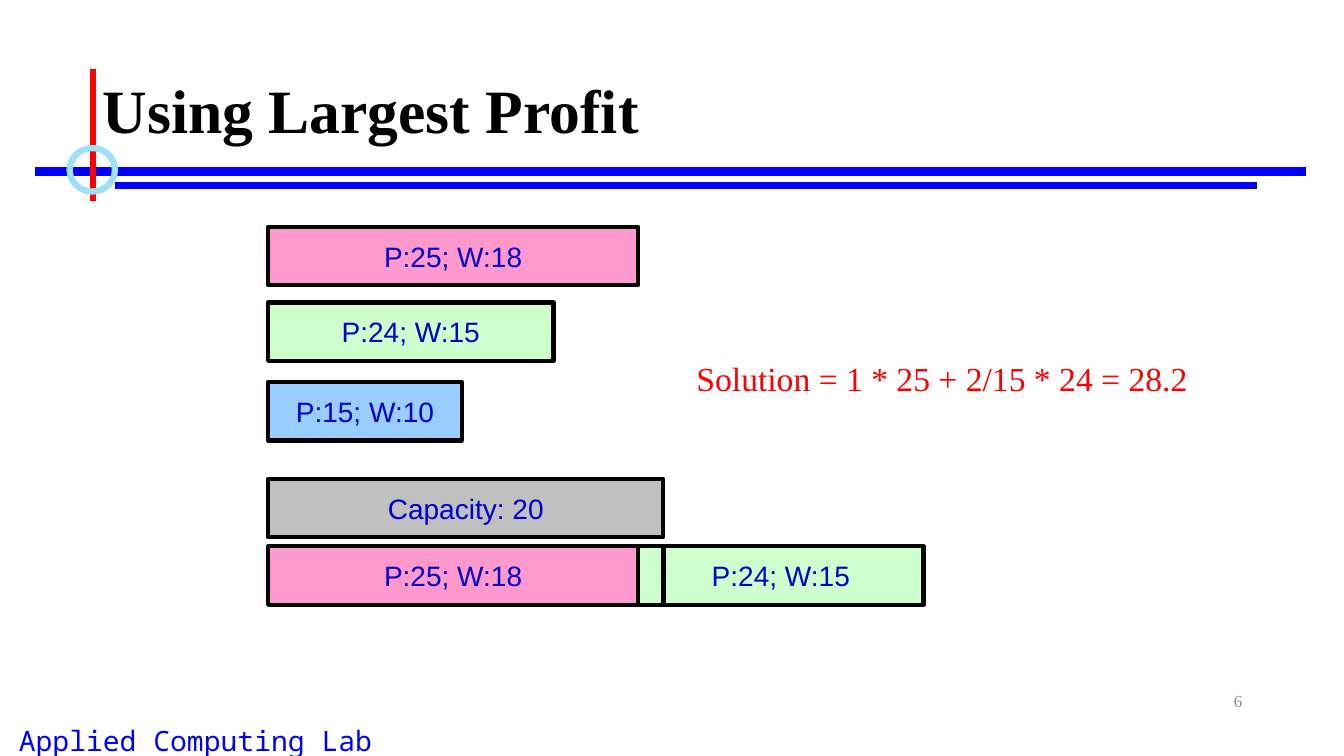
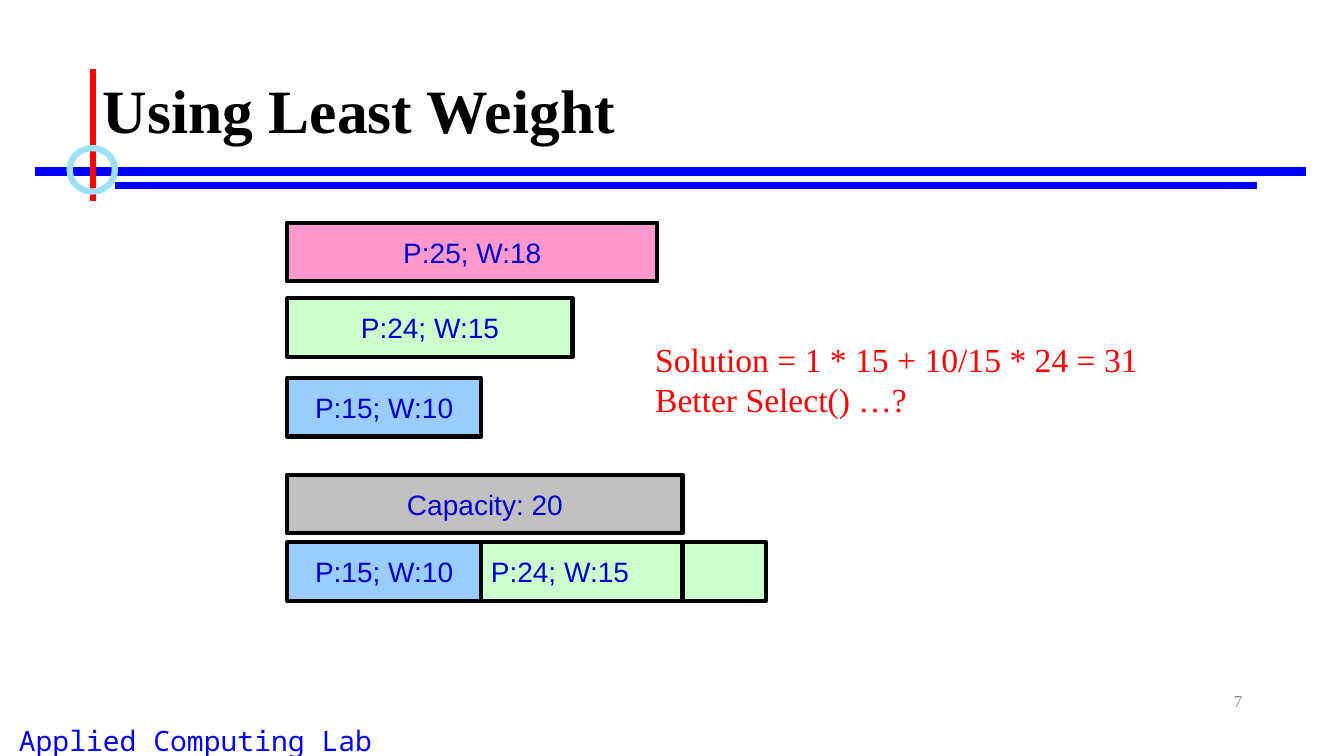
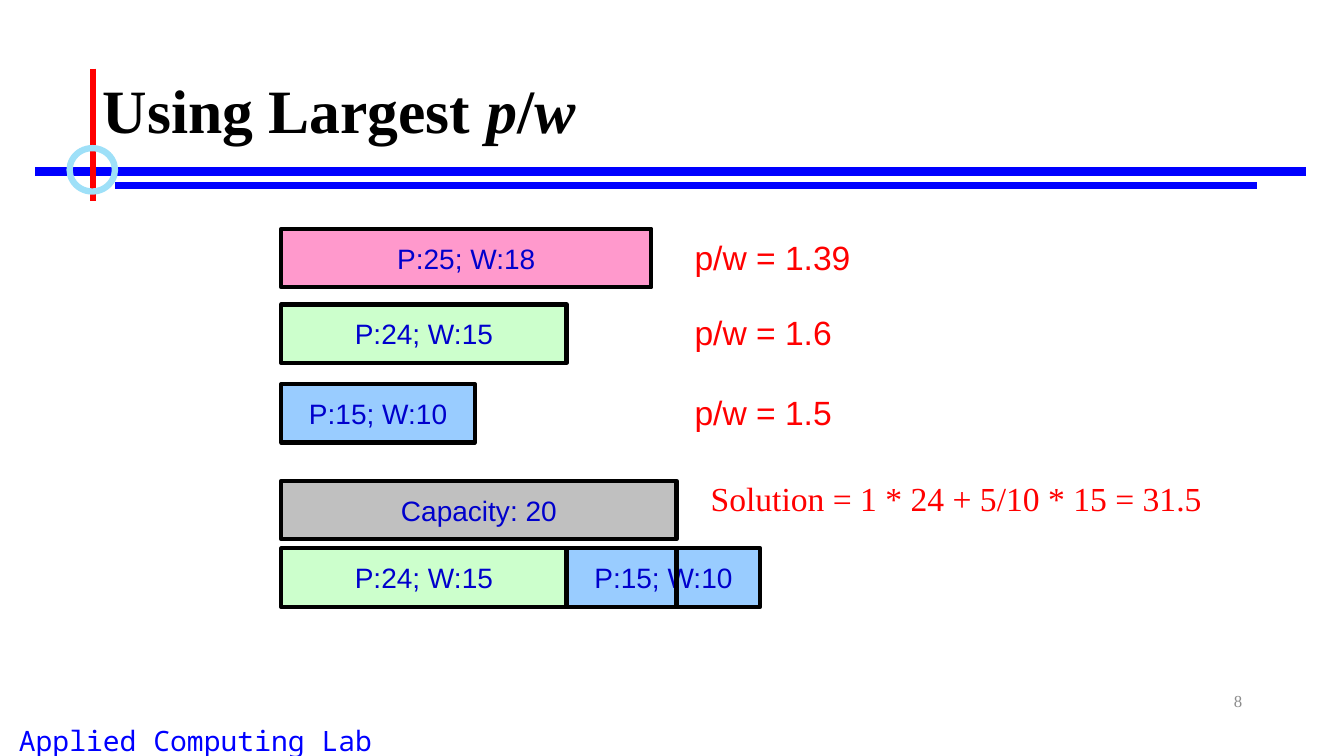
import pptx
import pptx.util
import pptx.dml.color
import pptx.enum.shapes
import pptx.enum.text
import pptx.oxml.ns
import lxml.etree

Inches = pptx.util.Inches
Pt = pptx.util.Pt
Shape = pptx.enum.shapes.MSO_SHAPE
Align = pptx.enum.text.PP_ALIGN
Anchor = pptx.enum.text.MSO_ANCHOR

SERIF, SANS, MONO = "Times New Roman", "Arial", "Noto Sans Mono"
BLUE, RED, BLACK = "0000FF", "FF0000", "000000"


def hue(code):
    return pptx.dml.color.RGBColor.from_string(code)


def write(shape, lines, size, face, code, align=Align.LEFT, anchor=Anchor.TOP):
    """Fill a shape with lines; in each line, every second piece is italic."""
    frame = shape.text_frame
    frame.word_wrap = True
    frame.vertical_anchor = anchor
    for row, pieces in enumerate(lines):
        para = frame.add_paragraph() if row else frame.paragraphs[0]
        para.alignment = align
        for spot, piece in enumerate(pieces):
            run = para.add_run()
            run.text = piece
            run.font.size = Pt(size)
            run.font.name = face
            run.font.color.rgb = hue(code)
            run.font.italic = spot % 2 == 1


# Bars: label, fill, width and drop below the first bar
BARS = {
    "pink": ("P:25; W:18", "FF99CC", 3.67, 0),
    "green": ("P:24; W:15", "CCFFCC", 2.83, 0.75),
    "blue": ("P:15; W:10", "99CCFF", 1.92, 1.54),
    "room": ("Capacity: 20", "C0C0C0", 3.92, 2.5),
}
HIGH, PACK = 0.58, 3.17

# Rules on every slide: from, to, colour, width
RULES = [
    (0.35, 1.7, 12.95, 1.7, BLUE, 6),
    (1.14, 1.84, 12.47, 1.84, BLUE, 4.5),
    (0.92, 0.68, 0.92, 1.99, RED, 4.5),
]

# Slides: title pieces, bar origin, packed bars, packed text side, notes
SLIDES = [
    (["Using Largest Profit"], 2.66, 2.25, ["pink", "green"], Align.CENTER,
     [(6.81, 3.5, SERIF, ["Solution = 1 * 25 + 2/15 * 24 = 28.2"])]),
    (["Using Least Weight"], 2.85, 2.21, ["blue", "green"], Align.LEFT,
     [(6.4, 3.31, SERIF, ["Solution = 1 * 15 + 10/15 * 24 = 31",
                          "Better Select() …?"])]),
    (["Using Largest ", "p", "/", "w"], 2.79, 2.27, ["green", "blue"], Align.CENTER,
     [(6.79, 2.3, SANS, ["p/w = 1.39"]),
      (6.79, 3.05, SANS, ["p/w = 1.6"]),
      (6.79, 3.84, SANS, ["p/w = 1.5"]),
      (6.95, 4.69, SERIF, ["Solution = 1 * 24 + 5/10 * 15 = 31.5"])]),
]

deck = pptx.Presentation()
deck.slide_width, deck.slide_height = Inches(13.33), Inches(7.5)

for page, (title, left, top, picks, side, notes) in enumerate(SLIDES, 6):
    slide = deck.slides.add_slide(deck.slide_layouts[6])
    shapes = slide.shapes

    # Item bars, then the packed row laid end to end
    spots = [(name, left, top + BARS[name][3], Align.CENTER) for name in BARS]
    edge = left
    for name, align in zip(picks, (Align.CENTER, side)):
        spots.append((name, edge, top + PACK, align))
        edge += BARS[name][2]
    for name, x, y, align in spots:
        label, fill, wide, drop = BARS[name]
        bar = shapes.add_shape(Shape.RECTANGLE, Inches(x), Inches(y),
                               Inches(wide), Inches(HIGH))
        bar.shadow.inherit = False
        bar.fill.solid()
        bar.fill.fore_color.rgb = hue(fill)
        bar.line.color.rgb = hue(BLACK)
        bar.line.width = Pt(3)
        write(bar, [[label]], 20, SANS, "0000CC", align, Anchor.MIDDLE)

    # Shared rules and the cut at full capacity
    end = left + BARS["room"][2]
    cut = (end, top + PACK, end, top + PACK + HIGH, BLACK, 3)
    for x1, y1, x2, y2, code, thick in RULES + [cut]:
        rule = shapes.add_connector(pptx.enum.shapes.MSO_CONNECTOR.STRAIGHT,
                                    Inches(x1), Inches(y1), Inches(x2), Inches(y2))
        rule.line.color.rgb = hue(code)
        rule.line.width = Pt(thick)
        props = rule._element.spPr
        lxml.etree.SubElement(props, pptx.oxml.ns.qn("a:effectLst"))

    # Ring where the rules cross
    ring = shapes.add_shape(Shape.OVAL, Inches(0.69), Inches(1.47),
                            Inches(0.45), Inches(0.43))
    ring.shadow.inherit = False
    ring.fill.background()
    ring.line.color.rgb = hue("9EE0F8")
    ring.line.width = Pt(4.5)

    # Title
    head = shapes.add_textbox(Inches(0.92), Inches(0.4), Inches(11.5), Inches(1.45))
    write(head, [title], 44, SERIF, BLACK, anchor=Anchor.MIDDLE)
    para = head.text_frame.paragraphs[0]
    para.line_spacing = 0.9
    for run in para.runs:
        run.font.bold = True

    # Notes beside the bars
    for x, y, face, lines in notes:
        note = shapes.add_textbox(Inches(x), Inches(y), Inches(5.3),
                                  Inches(0.1 + 0.4 * len(lines)))
        write(note, [[line] for line in lines], 24, face, RED)

    # Footer and page number
    foot = shapes.add_textbox(Inches(0), Inches(7.13), Inches(3.88), Inches(0.37))
    write(foot, [["Applied Computing Lab"]], 20, MONO, BLUE, Align.CENTER)
    count = shapes.add_textbox(Inches(9.42), Inches(6.75), Inches(3), Inches(0.4))
    write(count, [[str(page)]], 12, SERIF, "8C8C8C", Align.RIGHT, Anchor.MIDDLE)

deck.save("out.pptx")
